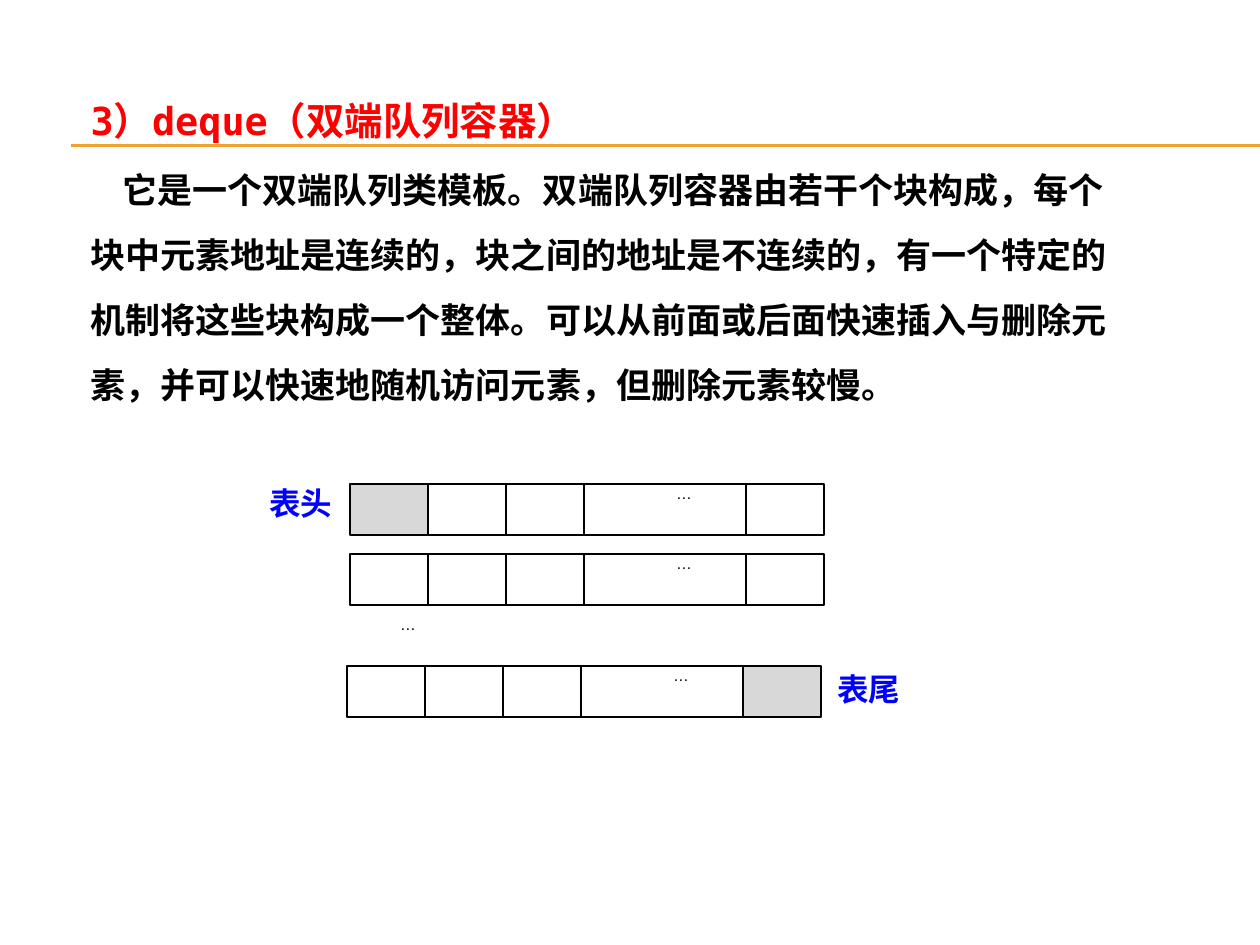
import pptx
import pptx.dml.color
import pptx.enum.shapes
import pptx.enum.text
import pptx.oxml.ns
import pptx.util
from lxml import etree

RGBColor = pptx.dml.color.RGBColor
RED = RGBColor(0xFF, 0x00, 0x00)
BLUE = RGBColor(0x00, 0x00, 0xFF)
BLACK = RGBColor(0x00, 0x00, 0x00)
WHITE = RGBColor(0xFF, 0xFF, 0xFF)
GREY = RGBColor(0xD8, 0xD8, 0xD8)
ORANGE = RGBColor(0xF0, 0xA2, 0x2E)

MONO = "DejaVu Sans Mono"
CJK = "Noto Sans CJK SC"
LATIN = "Arial"
EMU_PER_PX = 914400 // 126
CELL_WIDTHS = (78, 78, 78, 162, 78)
CELL_HEIGHT = 51
GAP_CELL = 3
ELLIPSIS_INDENT = 38

HEADING = "3）deque（双端队列容器）"
DESCRIPTION = (
    "它是一个双端队列类模板。双端队列容器由若干个块构成，每个块中元素地址是连续的，"
    "块之间的地址是不连续的，有一个特定的机制将这些块构成一个整体。"
    "可以从前面或后面快速插入与删除元素，并可以快速地随机访问元素，但删除元素较慢。"
)


def px(*lengths):
    return [pptx.util.Emu(length * EMU_PER_PX) for length in lengths]


class DequeSlide:
    """Draws the elements of the current slide in one style."""

    def __init__(self, slide):
        self.slide = slide
        self.diagram = None

    def set_text(self, frame, text, size, color, font, bold=True, indent=0,
                 align=pptx.enum.text.PP_ALIGN.LEFT):
        frame.word_wrap = True
        frame.auto_size = pptx.enum.text.MSO_AUTO_SIZE.NONE
        frame.vertical_anchor = pptx.enum.text.MSO_ANCHOR.TOP
        frame.text = text
        paragraph = frame.paragraphs[0]
        paragraph.alignment = align
        if indent:
            properties = paragraph._p.get_or_add_pPr()
            properties.set("marL", "0")
            properties.set("indent", str(indent * EMU_PER_PX))
        run = paragraph.runs[0]
        run.font.size = pptx.util.Pt(size)
        run.font.bold = bold
        run.font.color.rgb = color
        run.font.name = font
        east_asian = etree.SubElement(run.font._element, pptx.oxml.ns.qn("a:ea"))
        east_asian.set("typeface", CJK)
        return paragraph

    def rule(self, left, right, y):
        line = self.slide.shapes.add_connector(
            pptx.enum.shapes.MSO_CONNECTOR.STRAIGHT, *px(left, y, right, y))
        line.line.color.rgb = ORANGE
        line.line.width = pptx.util.Pt(0.75)
        etree.SubElement(line._element.spPr, pptx.oxml.ns.qn("a:effectLst"))

    def title(self, text, *box):
        title = self.slide.shapes.title
        title.left, title.top, title.width, title.height = px(*box)
        title.text_frame.margin_bottom = 0
        paragraph = self.set_text(title.text_frame, text, 22, RED, MONO)
        paragraph.line_spacing = 1.5

    def body(self, text, *box):
        frame = self.slide.shapes.add_textbox(*px(*box)).text_frame
        paragraph = self.set_text(frame, text, 20, BLACK, MONO, indent=32)
        paragraph.line_spacing = pptx.util.Pt(37)

    def start_diagram(self):
        self.diagram = self.slide.shapes.add_group_shape().shapes

    def block(self, box, fill=WHITE, outlined=True):
        block = self.diagram.add_shape(
            pptx.enum.shapes.MSO_SHAPE.RECTANGLE, *px(*box))
        block.shadow.inherit = False
        block.fill.solid()
        block.fill.fore_color.rgb = fill
        if outlined:
            block.line.color.rgb = BLACK
            block.line.width = pptx.util.Pt(0.75)
        else:
            block.line.fill.background()
        return block

    def caption(self, block, text, size, color, font, **style):
        frame = block.text_frame
        frame.margin_left = frame.margin_right = 0
        frame.margin_top = frame.margin_bottom = 0
        self.set_text(frame, text, size, color, font,
                      align=pptx.enum.text.PP_ALIGN.CENTER, **style)

    def ellipsis(self, block):
        self.caption(block, "…", 9, BLACK, LATIN, bold=False,
                     indent=ELLIPSIS_INDENT)

    def end_label(self, text, left, top):
        block = self.block((left, top, 69, 40), outlined=False)
        self.caption(block, text, 18, BLUE, CJK)

    def cell_row(self, left, top, shaded=None):
        for index, width in enumerate(CELL_WIDTHS):
            fill = GREY if index == shaded else WHITE
            cell = self.block((left, top, width, CELL_HEIGHT), fill)
            if index == GAP_CELL:
                self.ellipsis(cell)
            left += width


def main():
    presentation = pptx.Presentation()
    presentation.slide_width, presentation.slide_height = px(1260, 945)
    page = DequeSlide(presentation.slides.add_slide(presentation.slide_layouts[5]))

    for y in (145, 146):
        page.rule(71, 1260, y)
    page.title(HEADING, 78, 68, 1063, 79)
    page.body(DESCRIPTION, 78, 140, 1063, 272)

    page.start_diagram()
    page.cell_row(350, 484, shaded=0)
    page.end_label("表头", 266, 484)
    page.cell_row(350, 554)
    page.ellipsis(page.block((354, 615, 70, 40), outlined=False))
    page.cell_row(347, 666, shaded=len(CELL_WIDTHS) - 1)
    page.end_label("表尾", 834, 670)

    presentation.save("out.pptx")


if __name__ == "__main__":
    main()
